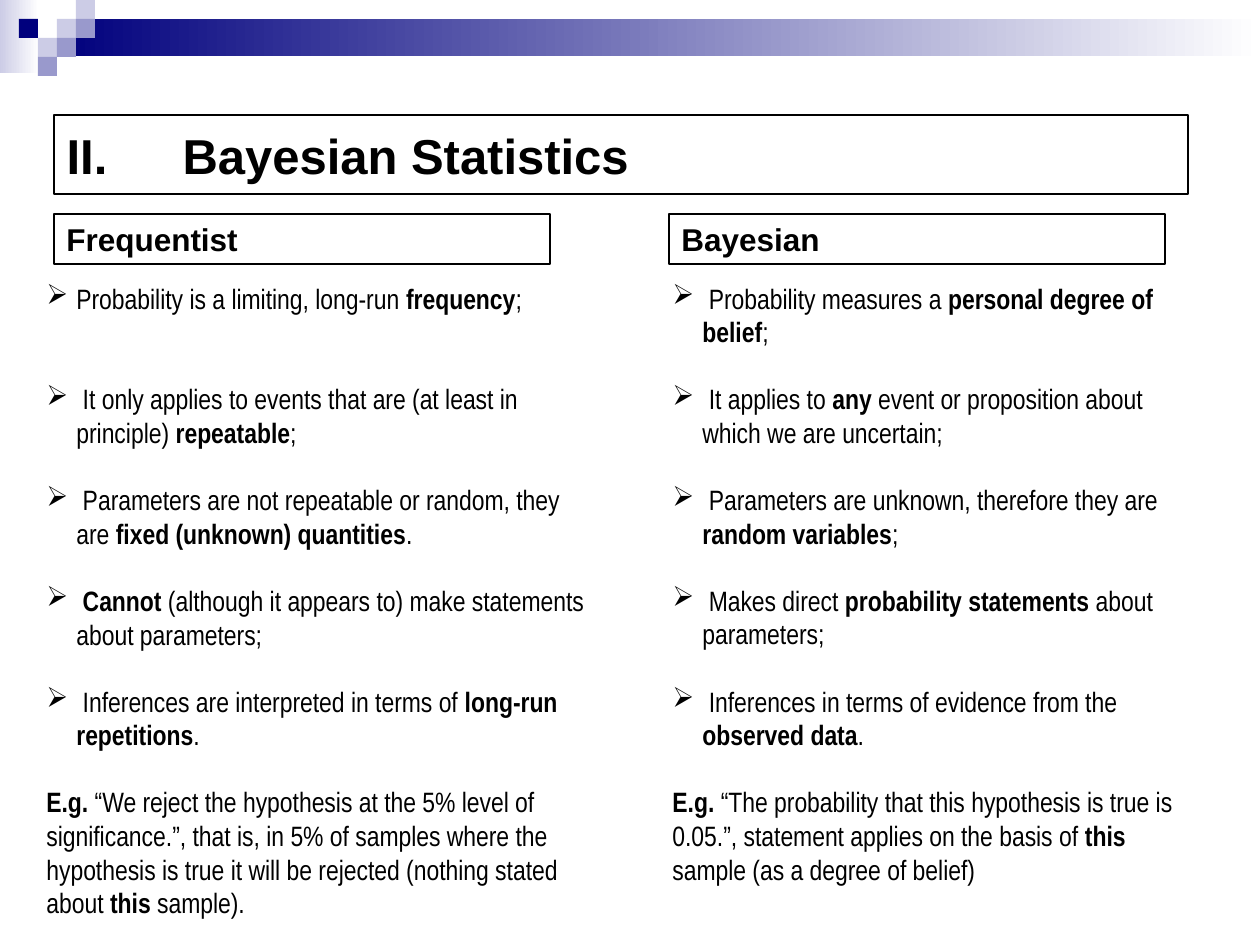
"""Build a slide that compares frequentist and Bayesian statistics."""
from lxml import etree
from pptx import Presentation
from pptx.dml.color import RGBColor
from pptx.enum.shapes import MSO_SHAPE
from pptx.enum.text import MSO_ANCHOR, MSO_AUTO_SIZE, PP_ALIGN
from pptx.oxml.ns import qn
from pptx.util import Emu, Pt

RECTANGLE = MSO_SHAPE.RECTANGLE
MIDDLE, TOP = MSO_ANCHOR.MIDDLE, MSO_ANCHOR.TOP
NO_FIT = MSO_AUTO_SIZE.NONE
LEFT = PP_ALIGN.LEFT

THEME = {
    "ink": RGBColor.from_string("000000"),
    "paper": RGBColor.from_string("FFFFFF"),
    "navy": RGBColor.from_string("00007D"),
    "lilac": RGBColor.from_string("CCCCE6"),
    "violet": RGBColor.from_string("9999CC"),
    "heading_font": "Arial",
    "body_font": "Arial Narrow",
    "title_size": Pt(28),
    "heading_size": Pt(18),
    "body_size": Pt(16),
    "body_gap": Pt(19.2),
    "outline": Pt(0.75),
}
SCALE = 914400 / 126
TITLE_INDENT, BULLET_INDENT = 116, 30
TILE = 19


def px(*lengths):
    return [Emu(round(length * SCALE)) for length in lengths]


def write(paragraph, marked_text, font_name, size, bold=False):
    paragraph.alignment = LEFT
    for position, words in enumerate(marked_text.split("*")):
        if words:
            run = paragraph.add_run()
            run.text = words
            look = {"name": font_name, "size": size, "bold": bold or position % 2 == 1}
            for attribute, value in look.items():
                setattr(run.font, attribute, value)
            run.font.color.rgb = THEME["ink"]


presentation = Presentation()
presentation.slide_width, presentation.slide_height = px(1260, 945)
slide = presentation.slides.add_slide(presentation.slide_layouts[5])
shapes = slide.shapes

bands = [((0, 0, 39, 73), "lilac"), ((57, 19, 1203, 37), "navy")]
for place, shade in bands:
    band = shapes.add_shape(RECTANGLE, *px(*place))
    band.shadow.inherit = False
    band.line.fill.background()
    band.fill.gradient()
    band.fill.gradient_angle = 0
    for stop, colour in zip(band.fill.gradient_stops, (shade, "paper")):
        stop.color.rgb = THEME[colour]

tiles = [
    (3, 1, "lilac"), (4, 0, "lilac"), (4, 1, "violet"), (2, 2, "lilac"),
    (1, 1, "navy"), (3, 2, "violet"), (2, 3, "violet"),
]
for column, row, shade in tiles:
    tile = shapes.add_shape(RECTANGLE, *px(column * TILE, row * TILE, TILE, TILE))
    tile.shadow.inherit = False
    tile.line.fill.background()
    tile.fill.solid()
    tile.fill.fore_color.rgb = THEME[shade]

title = shapes.title
title.left, title.top, title.width, title.height = px(54, 115, 1134, 79)
title_paragraph = title.text_frame.paragraphs[0]
write(title_paragraph, "Bayesian Statistics", THEME["heading_font"], THEME["title_size"], True)
indent = px(TITLE_INDENT)[0]
numbering = title_paragraph._p.get_or_add_pPr()
numbering.set("marL", str(indent))
numbering.set("indent", str(-indent))
etree.SubElement(numbering, qn("a:buAutoNum"), type="romanUcPeriod", startAt="2")

headed_boxes = [title]
for heading, left in (("Frequentist", 54), ("Bayesian", 669)):
    box = shapes.add_shape(RECTANGLE, *px(left, 214, 496, 50))
    box.shadow.inherit = False
    write(box.text_frame.paragraphs[0], heading, THEME["heading_font"], THEME["heading_size"], True)
    headed_boxes.append(box)

for box in headed_boxes:
    box.fill.background()
    box.line.color.rgb = THEME["ink"]
    box.line.width = THEME["outline"]
    frame_look = {"word_wrap": True, "auto_size": NO_FIT, "vertical_anchor": MIDDLE}
    for attribute, value in frame_look.items():
        setattr(box.text_frame, attribute, value)

views = [
    ((34, 275, 576, 651), [
        "Probability is a limiting, long-run *frequency*;",
        " It only applies to events that are (at least in principle) *repeatable*;",
        " Parameters are not repeatable or random, they are *fixed (unknown) quantities*.",
        " *Cannot* (although it appears to) make statements about parameters;",
        " Inferences are interpreted in terms of *long-run repetitions*.",
    ], "*E.g.* “We reject the hypothesis at the 5% level of significance.”, that is, in 5% of "
       "samples where the hypothesis is true it will be rejected (nothing stated about *this* sample).",
     2),
    ((660, 275, 551, 655), [
        " Probability measures a *personal degree of belief*;",
        " It applies to *any* event or proposition about which we are uncertain;",
        " Parameters are unknown, therefore they are *random variables*;",
        " Makes direct *probability statements *about parameters;",
        " Inferences in terms of evidence from the *observed data*.",
    ], "*E.g.* “The probability that this hypothesis is true is 0.05.”, statement applies on the "
       "basis of *this *sample (as a degree of belief)",
     1),
]
bullet_indent = px(BULLET_INDENT)[0]
for place, claims, example, first_gap in views:
    frame = shapes.add_textbox(*px(*place)).text_frame
    frame_look = {"word_wrap": True, "auto_size": NO_FIT, "vertical_anchor": TOP}
    for attribute, value in frame_look.items():
        setattr(frame, attribute, value)
    for order, statement in enumerate(claims + [example]):
        paragraph = frame.add_paragraph() if order else frame.paragraphs[0]
        write(paragraph, statement, THEME["body_font"], THEME["body_size"])
        if order:
            paragraph.space_before = THEME["body_gap"] * (first_gap if order == 1 else 1)
        if statement != example:
            bullet = paragraph._p.get_or_add_pPr()
            bullet.set("marL", str(bullet_indent))
            bullet.set("indent", str(-bullet_indent))
            etree.SubElement(bullet, qn("a:buChar"), char="➢")

presentation.save("out.pptx")
